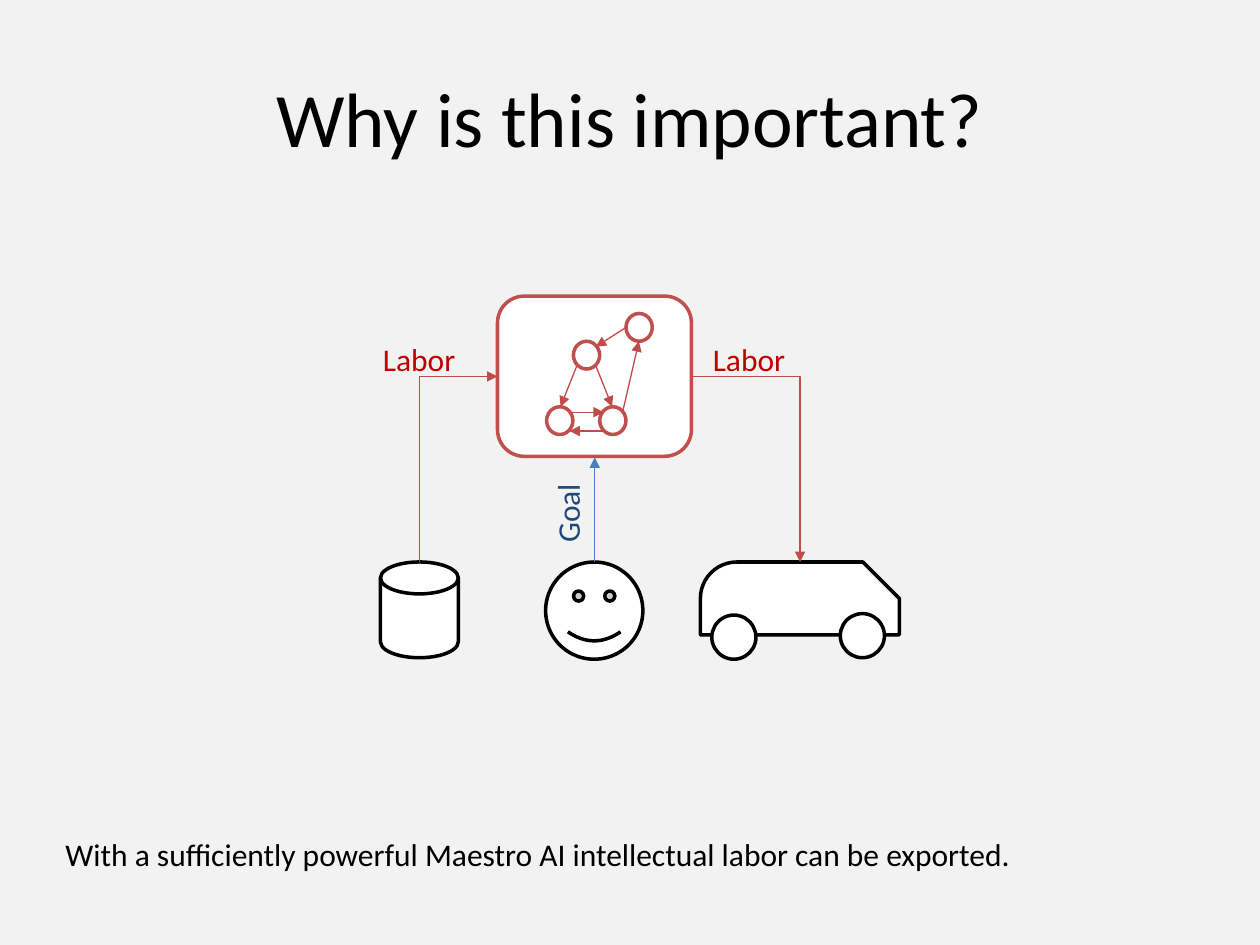
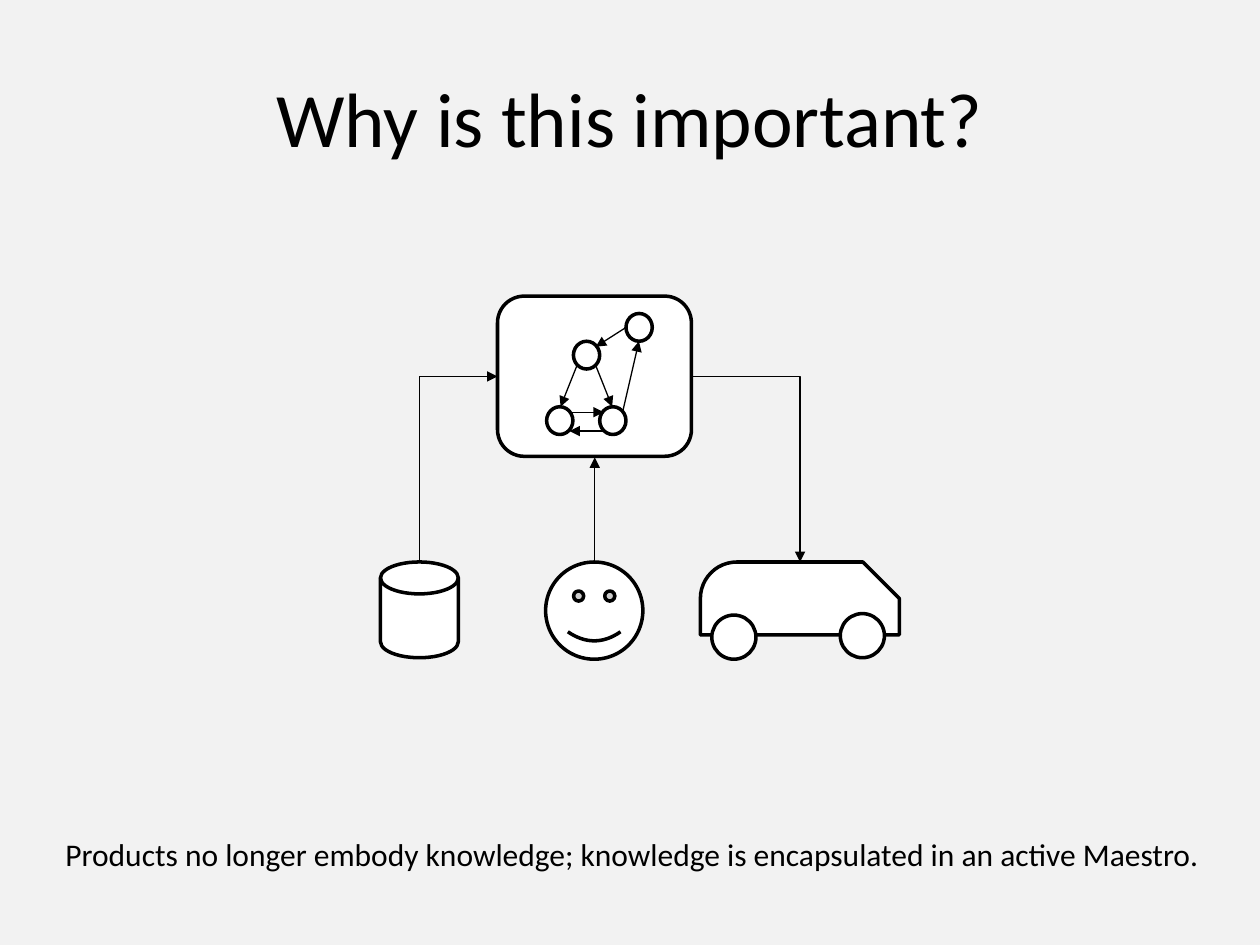
from pptx import Presentation
from pptx import util as u
from pptx.dml.color import RGBColor
from pptx.enum import shapes, text
from pptx.oxml.ns import qn
from lxml import etree

FONT = "Calibri"
BLACK, WHITE, BACKGROUND = "000000", "FFFFFF", "F2F2F2"
LABOR_TEXT, GOAL_TEXT = "C00000", "1F497D"
TITLE = "Why is this important?"
KIND = shapes.MSO_SHAPE
NODE_SIZE = (0.53, 0.56)
NODES = [(11.56, 6.88), (12.09, 8.2), (11.02, 8.2), (12.62, 6.32)]
NODE_ARROWS = [
    ((12.01, 7.37), (12.34, 8.2)),
    ((11.63, 7.37), (11.3, 8.2)),
    ((11.48, 8.31), (12.17, 8.31)),
    ((12.17, 8.69), (11.48, 8.69)),
    ((12.55, 8.31), (12.88, 6.88)),
    ((12.62, 6.6), (12.01, 6.99)),
]


def color(value):
    return RGBColor.from_string(value)


def lengths(*values):
    return [u.Cm(value) for value in values]


def add_run(paragraph, words, size, font_color):
    run = paragraph.add_run()
    run.text = words
    run.font.name = FONT
    run.font.size = u.Pt(size)
    run.font.color.rgb = color(font_color)


def add_title(slide):
    title = slide.shapes.title
    title.left, title.top, title.width, title.height = lengths(1.27, 0.76, 22.86, 3.18)
    title.text_frame.vertical_anchor = text.MSO_ANCHOR.MIDDLE
    paragraph = title.text_frame.paragraphs[0]
    paragraph.alignment = text.PP_ALIGN.CENTER
    add_run(paragraph, TITLE, 44, BLACK)


def add_text(slide, words, left, top, width, font_color=BLACK, wrap=True, rotation=0):
    box = slide.shapes.add_textbox(*lengths(left, top, width, 1.02))
    box.rotation = rotation
    box.text_frame.word_wrap = wrap
    box.text_frame.auto_size = text.MSO_AUTO_SIZE.SHAPE_TO_FIT_TEXT
    add_run(box.text_frame.paragraphs[0], words, 18, font_color)


def add_outlined(slide, kind, left, top, width, height, line_color=BLACK):
    shape = slide.shapes.add_shape(kind, *lengths(left, top, width, height))
    shape.shadow.inherit = False
    shape.fill.solid()
    shape.fill.fore_color.rgb = color(WHITE)
    shape.line.color.rgb = color(line_color)
    shape.line.width = u.Pt(2)
    return shape


def add_arrow(slide, start, end, line_color, kind=shapes.MSO_CONNECTOR.STRAIGHT):
    arrow = slide.shapes.add_connector(kind, *lengths(*start, *end))
    arrow.line.color.rgb = color(line_color)
    arrow.line.width = u.Pt(0.75)
    properties = arrow._element.spPr
    head = etree.SubElement(properties.find(qn("a:ln")), qn("a:tailEnd"))
    head.set("type", "triangle")
    etree.SubElement(properties, qn("a:effectLst"))
    return arrow


def add_bent_arrow(slide, start, end, line_color, upright_first=False):
    if upright_first:
        (x1, y1), (x2, y2) = start, end
        middle_x, middle_y = (x1 + x2) / 2, (y1 + y2) / 2
        half_width, half_height = (y1 - y2) / 2, (x2 - x1) / 2
        start = middle_x + half_width, middle_y + half_height
        end = middle_x - half_width, middle_y - half_height
    arrow = add_arrow(slide, start, end, line_color, shapes.MSO_CONNECTOR.ELBOW)
    properties = arrow._element.spPr
    properties.find(qn("a:prstGeom")).set("prst", "bentConnector2")
    if upright_first:
        properties.find(qn("a:xfrm")).set("rot", "5400000")


def add_van(slide):
    body = add_outlined(slide, KIND.SNIP_ROUND_RECTANGLE, 14.12, 11.33, 4.01, 1.47)
    body.adjustments[0] = body.adjustments[1] = 0.5
    for left, top in [(14.35, 12.4), (16.94, 12.37)]:
        add_outlined(slide, KIND.OVAL, left, top, 0.89, 0.89)


def add_maestro(slide, box_color, arrow_color):
    add_outlined(slide, KIND.ROUNDED_RECTANGLE, 10.03, 5.97, 3.91, 3.23, box_color)
    for position in NODES:
        add_outlined(slide, KIND.FLOWCHART_CONNECTOR, *position, *NODE_SIZE, box_color)
    for start, end in NODE_ARROWS:
        add_arrow(slide, start, end, arrow_color)


def add_diagram(slide, box_color=BLACK, labor_color=BLACK, goal_color=BLACK):
    add_outlined(slide, KIND.FLOWCHART_MAGNETIC_DISK, 7.67, 11.33, 1.57, 1.93)
    add_outlined(slide, KIND.SMILEY_FACE, 11, 11.33, 1.96, 1.96)
    add_bent_arrow(slide, (8.46, 11.33), (10.03, 7.59), labor_color, upright_first=True)
    add_van(slide)
    add_bent_arrow(slide, (13.94, 7.59), (16.13, 11.33), labor_color)
    add_maestro(slide, box_color, labor_color)
    add_arrow(slide, (11.99, 11.33), (11.99, 9.22), goal_color)


def add_labels(slide):
    for left in (7.47, 14.12):
        add_text(slide, "Labor", left, 6.73, 1.98, LABOR_TEXT, wrap=False)
    add_text(slide, "Goal", 10.59, 9.83, 1.7, GOAL_TEXT, wrap=False, rotation=270)


def add_slide(presentation, caption, caption_width):
    slide = presentation.slides.add_slide(presentation.slide_layouts[5])
    add_title(slide)
    add_text(slide, caption, 1.07, 16.71, caption_width)
    return slide


def main():
    presentation = Presentation()
    presentation.slide_width, presentation.slide_height = lengths(25.4, 19.05)
    background = presentation.slide_master.background.fill
    background.solid()
    background.fore_color.rgb = color(BACKGROUND)

    exported = add_slide(
        presentation,
        "With a sufficiently powerful Maestro AI intellectual labor can be exported.",
        23.29,
    )
    add_diagram(exported, box_color="C0504D", labor_color="BF4C48", goal_color="4B7EBC")
    add_labels(exported)

    encapsulated = add_slide(
        presentation,
        "Products no longer embody knowledge; knowledge is encapsulated in an active Maestro.",
        23.5,
    )
    add_diagram(encapsulated)
    presentation.save("out.pptx")


main()
